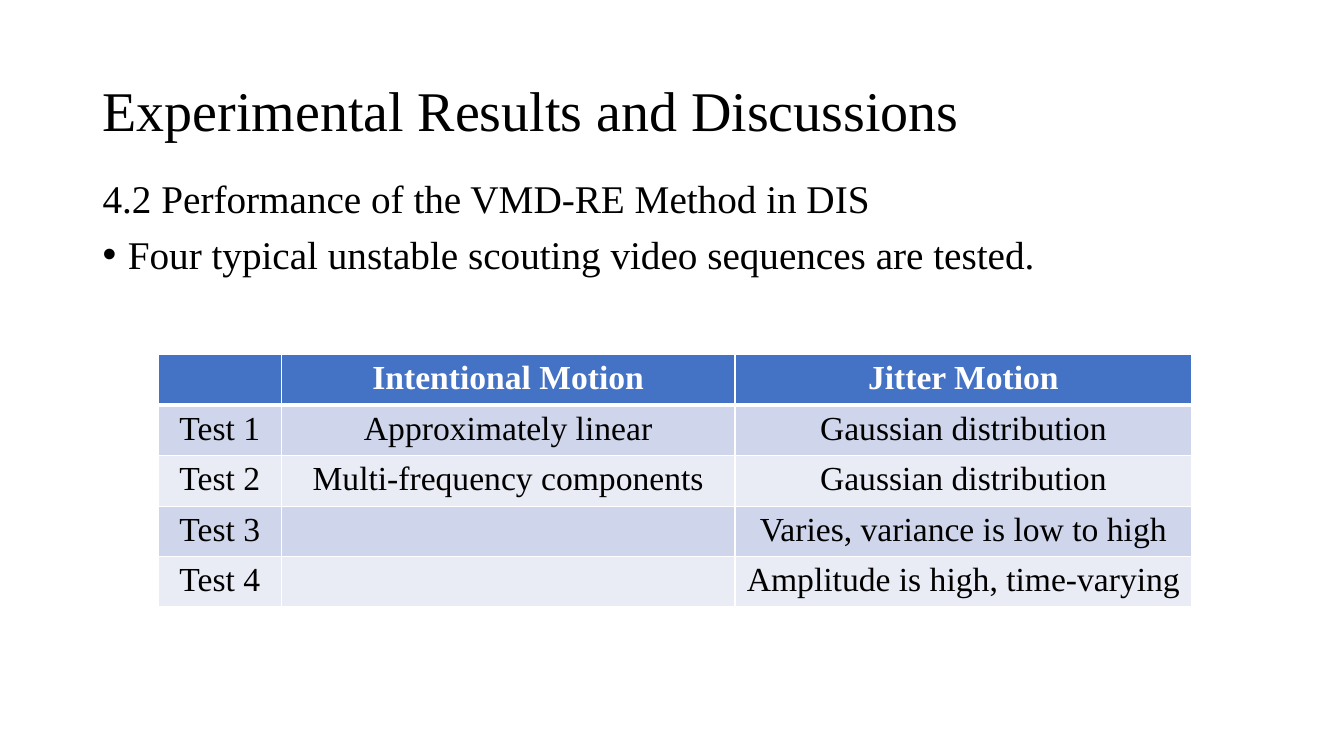
"""Build the slide on experimental results of the VMD-RE method."""
from lxml import etree
from pptx import Presentation
from pptx.dml.color import RGBColor
from pptx.enum.text import MSO_ANCHOR, PP_ALIGN
from pptx.oxml.ns import qn
from pptx.util import Inches, Pt

CENTER, LEFT = PP_ALIGN.CENTER, PP_ALIGN.LEFT
TOP, MIDDLE = MSO_ANCHOR.TOP, MSO_ANCHOR.MIDDLE

TITLE = "Experimental Results and Discussions"
SECTION = "4.2 Performance of the VMD-RE Method in DIS"
FINDING = "Four typical unstable scouting video sequences are tested."
TESTS = [
    ("", "Intentional Motion", "Jitter Motion"),
    ("Test 1", "Approximately linear", "Gaussian distribution"),
    ("Test 2", "Multi-frequency components", "Gaussian distribution"),
    ("Test 3", "", "Varies, variance is low to high"),
    ("Test 4", "", "Amplitude is high, time-varying"),
]
COLORS = {"text": "000000", "white": "FFFFFF", "header": "4472C4",
          "odd": "CFD5EA", "even": "E9EBF5"}
FONT = "Times New Roman"
COLUMN_WIDTHS = (1.22, 4.5, 4.53)
ROW_HEIGHT = 0.47
TABLE_LEFT, TABLE_TOP = 1.57, 3.52


def style(paragraph, size, color="text", bold=False, align=LEFT):
    paragraph.alignment = align
    for run in paragraph.runs:
        run.font.name = FONT
        run.font.size = Pt(size)
        run.font.bold = bold
        run.font.color.rgb = RGBColor.from_string(COLORS[color])


def add_text(slide, box, lines, size, anchor):
    frame = slide.shapes.add_textbox(*map(Inches, box)).text_frame
    frame.word_wrap = True
    frame.vertical_anchor = anchor
    frame.text = "\n".join(lines)
    for index, paragraph in enumerate(frame.paragraphs):
        paragraph.line_spacing = 0.9
        paragraph.space_before = Pt(10 if index else 0)
        style(paragraph, size)
    return frame


def add_bullet(paragraph, indent):
    properties = paragraph._p.get_or_add_pPr()
    properties.set("marL", str(Inches(indent)))
    properties.set("indent", str(-Inches(indent)))
    etree.SubElement(properties, qn("a:buFont")).set("typeface", "Arial")
    etree.SubElement(properties, qn("a:buChar")).set("char", "•")


def add_borders(cell, bottom_width, top_width):
    properties = cell._tc.get_or_add_tcPr()
    widths = (("L", 1), ("R", 1), ("T", top_width), ("B", bottom_width))
    for position, (side, width) in enumerate(widths):
        border = etree.Element(qn(f"a:ln{side}"), w=str(Pt(width)))
        fill = etree.SubElement(border, qn("a:solidFill"))
        etree.SubElement(fill, qn("a:srgbClr")).set("val", COLORS["white"])
        properties.insert(position, border)


def add_tests(slide):
    table = slide.shapes.add_table(
        len(TESTS), len(COLUMN_WIDTHS), Inches(TABLE_LEFT), Inches(TABLE_TOP),
        Inches(sum(COLUMN_WIDTHS)), Inches(ROW_HEIGHT * len(TESTS))).table
    for column, width in zip(table.columns, COLUMN_WIDTHS):
        column.width = Inches(width)
    for row, texts in enumerate(TESTS):
        table.rows[row].height = Inches(ROW_HEIGHT)
        header = row == 0
        band = "header" if header else ("even", "odd")[row % 2]
        for column, text in enumerate(texts):
            cell = table.cell(row, column)
            cell.text = text
            style(cell.text_frame.paragraphs[0], 24,
                  "white" if header else "text", header, CENTER)
            cell.fill.solid()
            cell.fill.fore_color.rgb = RGBColor.from_string(COLORS[band])
            add_borders(cell, 3 if header else 1, 3 if row == 1 else 1)


def main():
    deck = Presentation()
    deck.slide_width, deck.slide_height = Inches(13.33), Inches(7.5)
    slide = deck.slides.add_slide(deck.slide_layouts[6])
    add_text(slide, (0.92, 0.4, 11.5, 1.45), [TITLE], 40, MIDDLE)
    body = add_text(slide, (0.92, 1.73, 11.5, 4.76), [SECTION, FINDING], 28, TOP)
    add_bullet(body.paragraphs[1], 0.25)
    add_tests(slide)
    deck.save("out.pptx")


if __name__ == "__main__":
    main()
